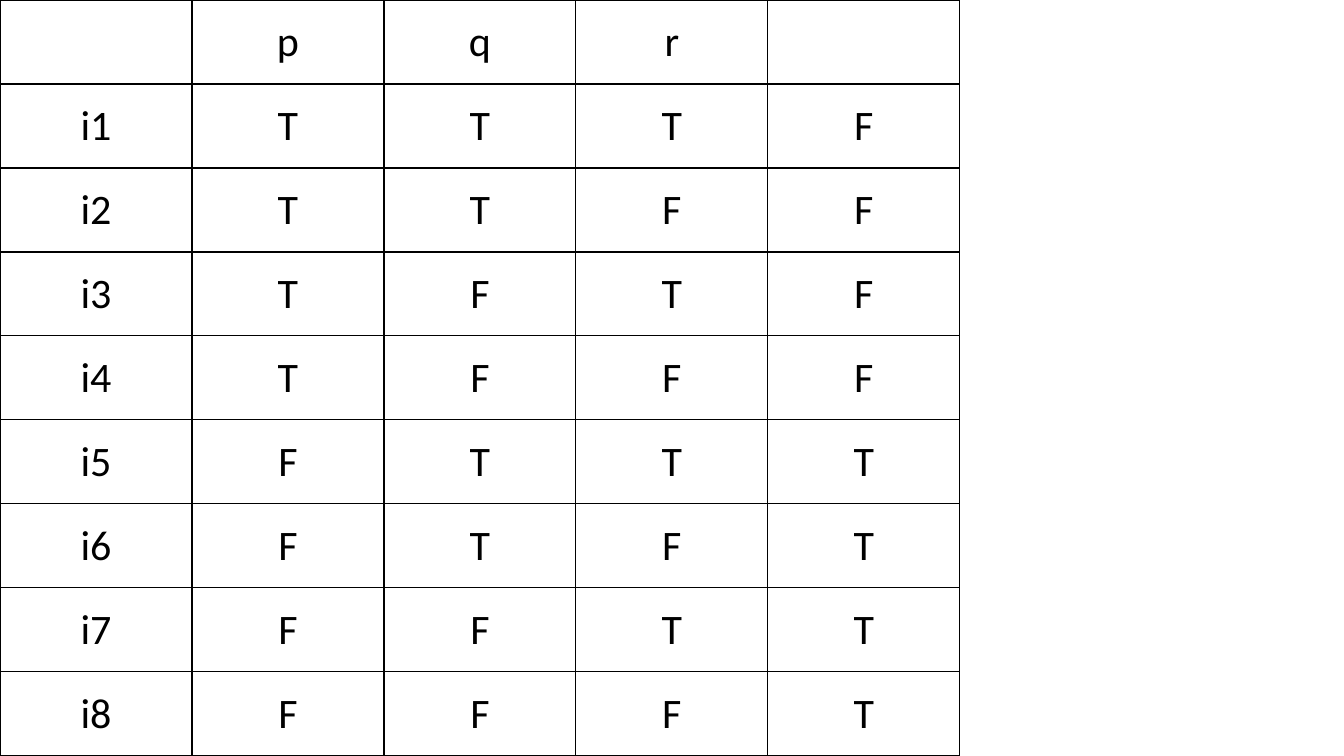
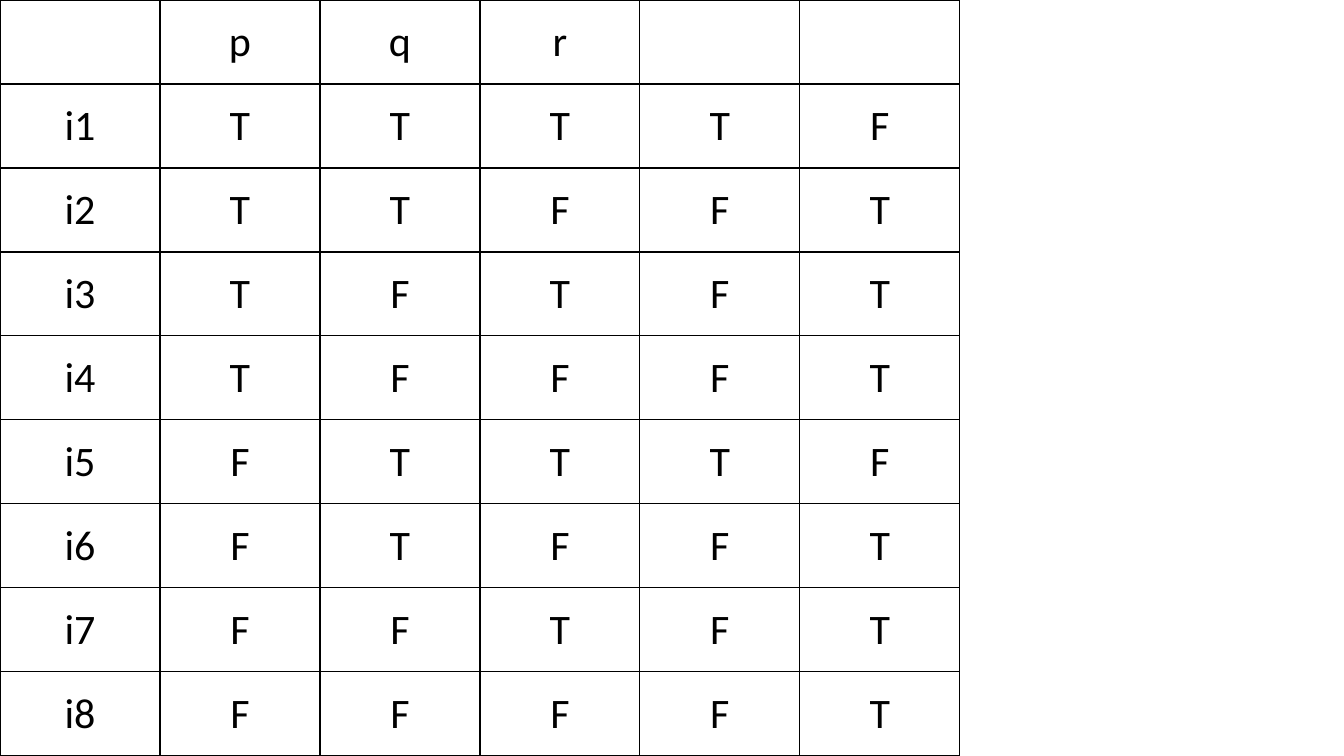
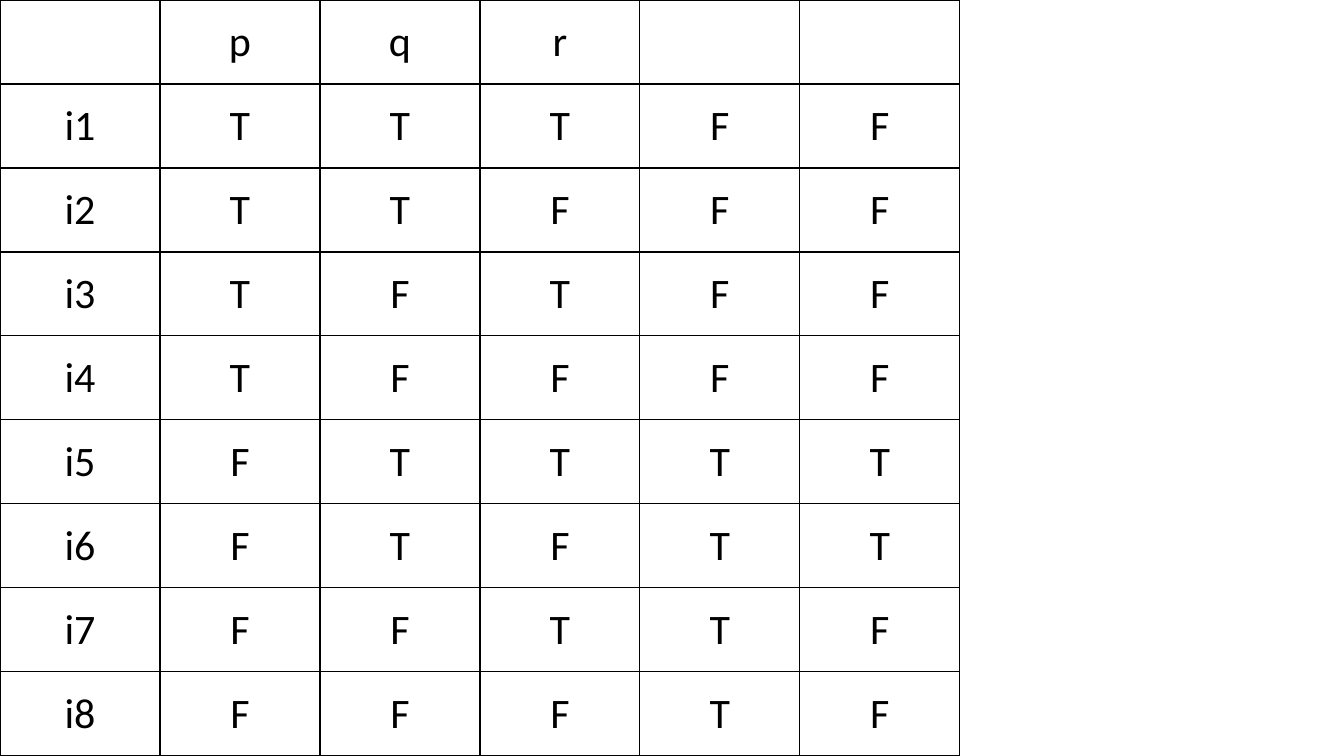
from itertools import product

from lxml.etree import SubElement as Sub
from pptx import Presentation
from pptx.dml.color import RGBColor as Rgb
from pptx.enum.text import MSO_ANCHOR as Anchor, PP_ALIGN as Align
from pptx.oxml.ns import qn
from pptx.util import Inches, Pt

HUES = {"ink": "000000", "page": "FFFFFF"}
FONT = {"name": "Calibri", "size": Pt(30), "bold": False}
FLAGS = {"first_row": False, "horz_banding": False}
EDGES = ("a:lnL", "a:lnR", "a:lnT", "a:lnB")
BOX = (0, 0, 9.52, 7.5)
TESTS = [
    [lambda p, q, r: not p],
    [lambda p, q, r: q and r, lambda p, q, r: not (q and r)],
    [lambda p, q, r: not p, lambda p, q, r: not p and q],
]


def assign(item, vals):
    """Set each attribute named in a dict."""
    for key, val in vals.items():
        setattr(item, key, val)


def frame(cell):
    """Draw a thin line on all four sides of a cell."""
    props = cell._tc.get_or_add_tcPr()
    for edge in EDGES:
        line = Sub(props, qn(edge), w=str(Pt(1)))
        fill = Sub(line, qn("a:solidFill"))
        Sub(fill, qn("a:srgbClr"), val=HUES["ink"])


def write(cell, text):
    """Format one cell and put its text in the middle."""
    frame(cell)
    cell.fill.solid()
    cell.fill.fore_color.rgb = Rgb.from_string(HUES["page"])
    cell.vertical_anchor = Anchor.MIDDLE
    cell.text = text
    para = cell.text_frame.paragraphs[0]
    para.alignment = Align.CENTER
    assign(para.font, FONT)
    para.font.color.rgb = Rgb.from_string(HUES["ink"])


def truth(tests):
    """List the rows of a truth table for the given tests."""
    rows = [["", "p", "q", "r"] + [""] * len(tests)]
    for num, vals in enumerate(product([True, False], repeat=3), 1):
        marks = [*vals, *(test(*vals) for test in tests)]
        rows.append([f"i{num}"] + ["T" if mark else "F" for mark in marks])
    return rows


def grid(slide, box, rows):
    """Fill a box with a table of equal columns and rows."""
    left, top, width, height = map(Inches, box)
    high, wide = len(rows), len(rows[0])
    table = slide.shapes.add_table(high, wide, left, top, width, height).table
    assign(table, FLAGS)
    for col in table.columns:
        col.width = Inches(box[2] / wide)
    for row, texts in zip(table.rows, rows):
        row.height = Inches(box[3] / high)
        for cell, text in zip(row.cells, texts):
            write(cell, text)


def main():
    """Build one truth table on each slide."""
    deck = Presentation()
    assign(deck, {"slide_width": Inches(13.33), "slide_height": Inches(7.5)})
    for tests in TESTS:
        slide = deck.slides.add_slide(deck.slide_layouts[6])
        grid(slide, BOX, truth(tests))
    deck.save("out.pptx")


if __name__ == "__main__":
    main()
